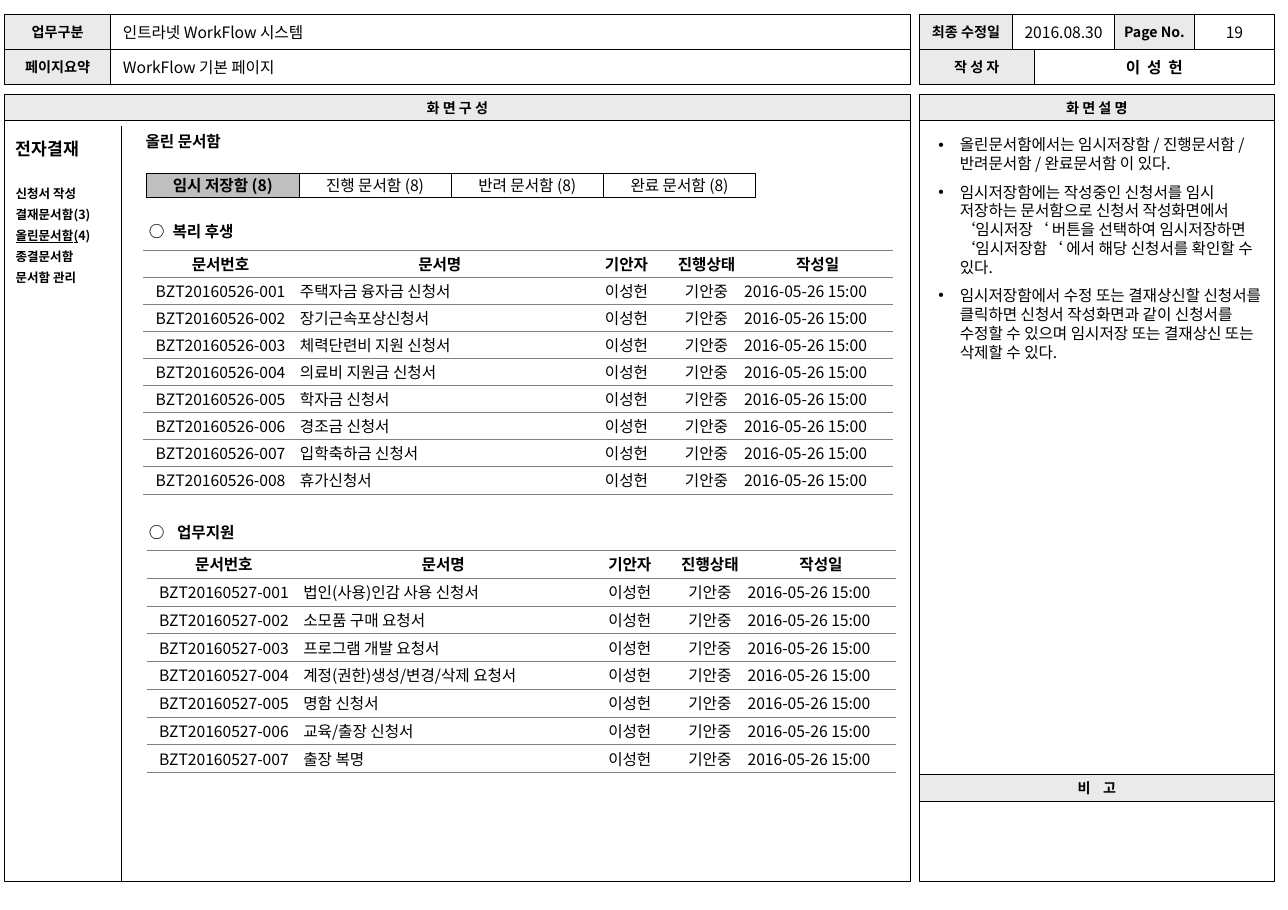
from lxml import etree
from pptx import Presentation
from pptx.dml.color import RGBColor
from pptx.enum.shapes import MSO_CONNECTOR, MSO_SHAPE
from pptx.enum.text import MSO_ANCHOR, MSO_AUTO_SIZE, PP_ALIGN
from pptx.oxml.ns import qn
from pptx.util import Inches, Pt

RECT, LINE = MSO_SHAPE.RECTANGLE, MSO_CONNECTOR.STRAIGHT
TOP, MIDDLE = MSO_ANCHOR.TOP, MSO_ANCHOR.MIDDLE
LEFT, CENTER = PP_ALIGN.LEFT, PP_ALIGN.CENTER
BLACK = RGBColor(0x00, 0x00, 0x00)
HEAD = RGBColor(0xEA, 0xEA, 0xEA)
PICKED = RGBColor(0xBF, 0xBF, 0xBF)
RULE = "808080"
FONT = "Noto Sans CJK KR"
PAD = 0.02

# Column and row edges of the page frame, in inches
X0, X1, X2 = 0.04, 0.98, 8.07
R0, R1 = 8.15, 11.3
Y0, Y1, Y2 = 0.13, 0.44, 0.75
TITLE, BODY, NOTE, MEMO, END = 0.84, 1.07, 6.87, 7.11, 7.82

prs = Presentation()
prs.slide_width, prs.slide_height = Inches(11.42), Inches(8.07)
slide = prs.slides.add_slide(prs.slide_layouts[1])
shapes = slide.shapes


def style(par, size=10, bold=False, align=LEFT):
    par.alignment = align
    for run in par.runs:
        font = run.font
        font.size, font.bold, font.name = Pt(size), bold, FONT
        font.color.rgb = BLACK
        etree.SubElement(font._element, qn("a:ea"), typeface=FONT)


def place(shape, x, y, w, h, pad=(0, 0), anchor=TOP):
    """Set a shape's bounds and its text frame's padding and anchor."""
    shape.left, shape.top = Inches(x), Inches(y)
    shape.width, shape.height = Inches(w), Inches(h)
    frame = shape.text_frame
    frame.word_wrap, frame.auto_size = True, MSO_AUTO_SIZE.NONE
    frame.margin_left = frame.margin_right = Inches(pad[0])
    frame.margin_top = frame.margin_bottom = Inches(pad[1])
    frame.vertical_anchor = anchor
    return frame


# Frame cells and tabs: left, top, right, bottom, text, size, bold, align, fill, line
cells = [
    (X1, Y0, X2, Y1, "인트라넷 WorkFlow 시스템", 10, False, LEFT, None, 0.75),
    (X1, Y1, X2, Y2, "WorkFlow 기본 페이지", 10, False, LEFT, None, 0.75),
    (8.98, Y0, 9.88, Y1, "2016.08.30", 10, False, CENTER, None, 0.75),
    (10.59, Y0, R1, Y1, "19", 10, False, CENTER, None, 0.75),
    (9.17, Y1, R1, Y2, "이 성 헌", 10, True, CENTER, None, 0.75),
    (X0, BODY, X2, END, "", 10, False, LEFT, None, 0.75),
    (R0, BODY, R1, NOTE, "", 10, False, LEFT, None, 0.75),
    (R0, MEMO, R1, END, "", 10, False, LEFT, None, 0.75),
]
heads = [
    (X0, Y0, X1, Y1, "업무구분"),
    (X0, Y1, X1, Y2, "페이지요약"),
    (R0, Y0, 8.98, Y1, "최종 수정일"),
    (9.88, Y0, 10.59, Y1, "Page No."),
    (R0, Y1, 9.17, Y2, "작 성 자"),
    (X0, TITLE, X2, BODY, "화 면 구 성"),
    (R0, TITLE, R1, BODY, "화 면 설 명"),
    (R0, NOTE, R1, MEMO, "비 고"),
]
cells += [(*head, 9, True, CENTER, HEAD, 0.75) for head in heads]
tabs = ["임시 저장함 (8)", "진행 문서함 (8)", "반려 문서함 (8)", "완료 문서함 (8)"]
TAB = 1.35
for i, name in enumerate(tabs):
    x = 1.3 + i * TAB
    cells.append((x, 1.54, x + TAB, 1.75, name, 10, i == 0, CENTER,
                  None if i else PICKED, 0.25))
wide = {"비 고": "300", "이 성 헌": "110"}  # letter spacing, 1/100 pt

for x, y, right, low, text, size, bold, align, fill, line in cells:
    box = shapes.add_shape(RECT, 0, 0, 0, 0)
    box.shadow.inherit = False
    box.line.color.rgb, box.line.width = BLACK, Pt(line)
    if fill is None:
        box.fill.background()
    else:
        box.fill.solid()
        box.fill.fore_color.rgb = fill
    pad = 0.11 if align == LEFT else PAD
    frame = place(box, x, y, right - x, low - y, (pad, PAD), MIDDLE)
    if text:
        par = frame.paragraphs[0]
        par.text = text
        style(par, size, bold, align)
        if text in wide:
            par.runs[0].font._element.set("spc", wide[text])

# Side menu
rule = shapes.add_connector(LINE, Inches(1.08), Inches(1.12), Inches(1.08), Inches(END))
rule.line.color.rgb, rule.line.width = BLACK, Pt(0.75)
etree.SubElement(rule._element.spPr, qn("a:effectLst"))

menu = place(shapes.add_textbox(0, 0, 0, 0), X0, 1.1, 1, 1.49, (0.1, 0.05))
menu.text = "전자결재\n신청서 작성\n결재문서함(3)\n올린문서함(\n종결문서함\n문서함 관리"
items = menu.paragraphs
items[3].add_run().text = "4)"
items[3].runs[0].font.underline = True
items[1].space_before = Pt(13.4)
for i, par in enumerate(items):
    par.line_spacing = 1.4
    style(par, 8 if i else 11, True)

# Title and description placeholders
title = place(shapes.title, 1.19, 1.12, 2, 0.27, (0.1, 0.05))
title.text = "올린 문서함"
style(title.paragraphs[0], bold=True)

notes = place(slide.placeholders[1], 8.32, 1.2, 2.93, 2.02)
notes.text = "\n".join([
    "올린문서함에서는 임시저장함 / 진행문서함 / 반려문서함 / 완료문서함 이 있다.",
    "임시저장함에는 작성중인 신청서를 임시 저장하는 문서함으로 신청서 작성화면에서 "
    "‘임시저장‘ 버튼을 선택하여 임시저장하면 ‘임시저장함‘ 에서 해당 신청서를 확인할 수 있다.",
    "임시저장함에서 수정 또는 결재상신할 신청서를 클릭하면 신청서 작성화면과 같이 신청서를 "
    "수정할 수 있으며 임시저장 또는 결재상신 또는 삭제할 수 있다.",
])
for par in notes.paragraphs:
    style(par)
    par.space_before = Pt(6)
    props = par._p.get_or_add_pPr()
    props.set("marL", str(Inches(0.19)))
    props.set("indent", str(-Inches(0.19)))
    etree.SubElement(props, qn("a:buChar"), char="•")

# Document lists: heading, text offset, heading top, table left, top, height, code, names
lists = [
    ("복리 후생", 0.21, 1.95, 1.27, 2.22, 2.12, "BZT20160526",
     ["주택자금 융자금 신청서", "장기근속포상신청서", "체력단련비 지원 신청서",
      "의료비 지원금 신청서", "학자금 신청서", "경조금 신청서",
      "입학축하금 신청서", "휴가신청서"]),
    ("업무지원", 0.25, 4.62, 1.3, 4.88, 1.97, "BZT20160527",
     ["법인(사용)인감 사용 신청서", "소모품 구매 요청서", "프로그램 개발 요청서",
      "계정(권한)생성/변경/삭제 요청서", "명함 신청서", "교육/출장 신청서", "출장 복명"]),
]
COLS = [1.37, 2.52, 0.79, 0.63, 1.34]
for name, gap, high, x, y, tall, code, docs in lists:
    label = place(shapes.add_textbox(0, 0, 0, 0), 1.3, high, TAB, 0.21, (PAD, PAD))
    label.text = "○\t" + name
    par = label.paragraphs[0]
    style(par, bold=True)
    stops = etree.SubElement(par._p.get_or_add_pPr(), qn("a:tabLst"))
    etree.SubElement(stops, qn("a:tab"), pos=str(Inches(gap)), algn="l")

    rows = [["문서번호", "문서명", "기안자", "진행상태", "작성일"]]
    rows += [[f"{code}-{n:03}", doc, "이성헌", "기안중", "2016-05-26 15:00"]
             for n, doc in enumerate(docs, 1)]
    grid = shapes.add_table(len(rows), len(COLS), Inches(x), Inches(y),
                            Inches(sum(COLS)), Inches(tall)).table
    grid.first_row = grid.horz_banding = False
    for col, w in zip(grid.columns, COLS):
        col.width = Inches(w)
    for r, row in enumerate(rows):
        for c, text in enumerate(row):
            cell = grid.cell(r, c)
            cell.text = text
            cell.vertical_anchor = MIDDLE
            cell.margin_left = cell.margin_right = Inches(PAD)
            cell.margin_top = cell.margin_bottom = Inches(PAD)
            style(cell.text_frame.paragraphs[0], 10, r == 0,
                  LEFT if r and c in (1, 4) else CENTER)
            props = cell._tc.get_or_add_tcPr()
            for side in ("lnL", "lnR", "lnT", "lnB"):
                edge = etree.SubElement(props, qn("a:" + side), w=str(Pt(0.25)))
                if side in ("lnL", "lnR"):
                    etree.SubElement(edge, qn("a:noFill"))
                else:
                    paint = etree.SubElement(edge, qn("a:solidFill"))
                    etree.SubElement(paint, qn("a:srgbClr"), val=RULE)
            cell.fill.background()

prs.save("out.pptx")
